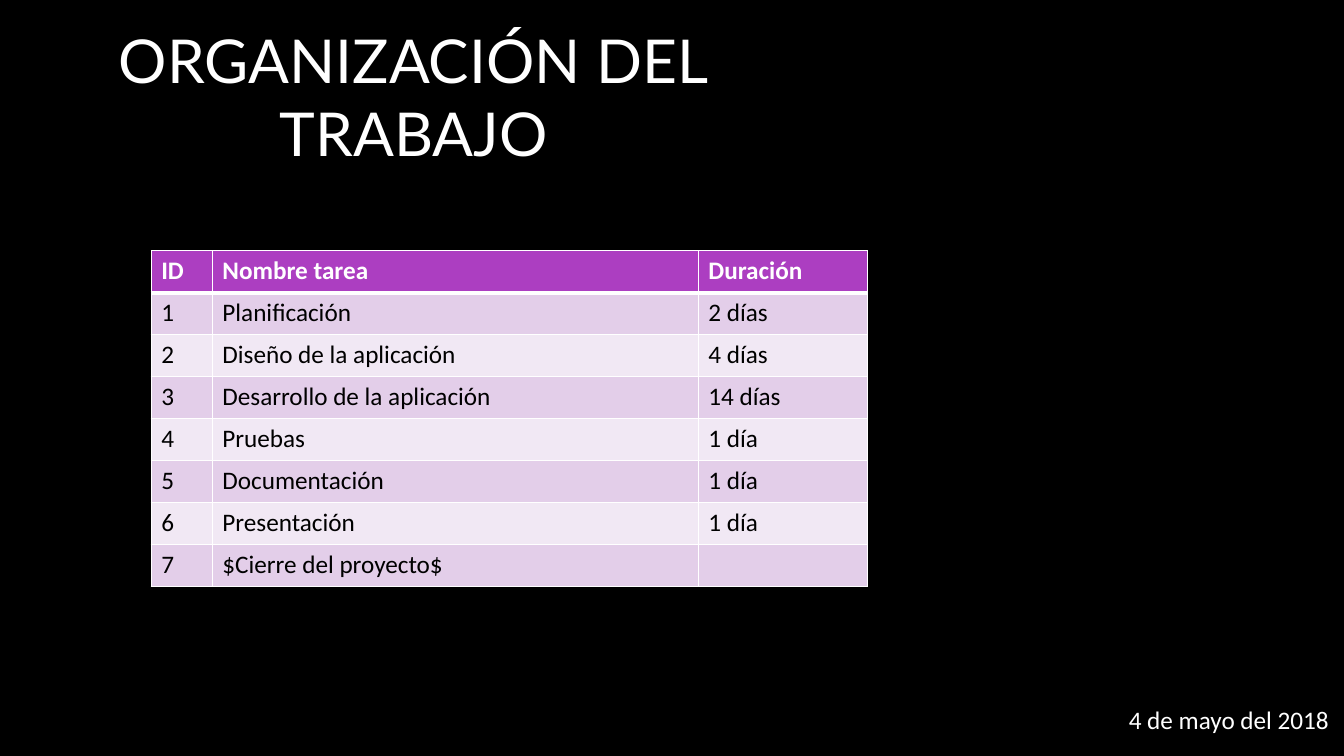
"""Build the work organisation slide with its task table."""
from lxml.etree import SubElement
from pptx import Presentation
from pptx.dml.color import RGBColor
from pptx.enum.text import MSO_ANCHOR, MSO_AUTO_SIZE, PP_ALIGN
from pptx.oxml.ns import qn
from pptx.util import Pt

TITLE = "ORGANIZACIÓN DEL\vTRABAJO"
DATE = "4 de mayo del 2018"
TASKS = [
    ("ID", "Nombre tarea", "Duración"),
    ("1", "Planificación", "2 días"),
    ("2", "Diseño de la aplicación", "4 días"),
    ("3", "Desarrollo de la aplicación", "14 días"),
    ("4", "Pruebas", "1 día"),
    ("5", "Documentación", "1 día"),
    ("6", "Presentación", "1 día"),
    ("7", "$Cierre del proyecto$", ""),
]
COLORS = {
    "black": "000000",
    "white": "FFFFFF",
    "header": "AC3EC1",
    "odd": "E3CEE9",
    "even": "F1E8F4",
}
TITLE_BOX = {"left": -81.4, "top": 41, "width": 753.8, "height": 82.8}
DATE_BOX = (799.2, 499.7, 159.1, 51.1)
TABLE_LEFT, TABLE_TOP = 108, 179.2
COL_WIDTHS = (43.7, 347.2, 121)
ROW_HEIGHT = 30
TITLE_FONT = {"name": "Lato", "size": Pt(43.2), "bold": False}
BODY_FONT = {"name": "Calibri", "size": Pt(18), "bold": False}
HEADER_FONT = {**BODY_FONT, "bold": True}


def rgb(name):
    return RGBColor.from_string(COLORS[name])


def format_font(font, values, color):
    for key, value in values.items():
        setattr(font, key, value)
    font.color.rgb = rgb(color)


def add_borders(cell, bottom, top):
    tcPr = cell._tc.get_or_add_tcPr()
    for side, width in (("lnL", 1), ("lnR", 1), ("lnT", top), ("lnB", bottom)):
        ln = SubElement(tcPr, qn(f"a:{side}"), w=str(Pt(width)))
        fill = SubElement(ln, qn("a:solidFill"))
        SubElement(fill, qn("a:srgbClr"), val=COLORS["white"])


def add_title(s):
    sp = s.shapes.title
    for key, value in TITLE_BOX.items():
        setattr(sp, key, Pt(value))
    tf = sp.text_frame
    tf.text = TITLE
    tf.auto_size = MSO_AUTO_SIZE.NONE
    tf.vertical_anchor = MSO_ANCHOR.BOTTOM
    p = tf.paragraphs[0]
    p.alignment = PP_ALIGN.CENTER
    for r in p.runs:
        format_font(r.font, TITLE_FONT, "white")


def add_date(s):
    tf = s.shapes.add_textbox(*map(Pt, DATE_BOX)).text_frame
    tf.word_wrap = False
    tf.auto_size = MSO_AUTO_SIZE.SHAPE_TO_FIT_TEXT
    r = tf.paragraphs[0].add_run()
    r.text = DATE
    format_font(r.font, BODY_FONT, "white")


def add_tasks(s):
    size = (sum(COL_WIDTHS), ROW_HEIGHT * len(TASKS))
    box = map(Pt, (TABLE_LEFT, TABLE_TOP, *size))
    table = s.shapes.add_table(len(TASKS), len(COL_WIDTHS), *box).table
    for column, width in zip(table.columns, COL_WIDTHS):
        column.width = Pt(width)
    for i, task in enumerate(TASKS):
        table.rows[i].height = Pt(ROW_HEIGHT)
        fill = "header" if i == 0 else "odd" if i % 2 else "even"
        font, color = (BODY_FONT, "black") if i else (HEADER_FONT, "white")
        for cell, text in zip(table.rows[i].cells, task):
            add_borders(cell, bottom=1 if i else 3, top=3 if i == 1 else 1)
            cell.fill.solid()
            cell.fill.fore_color.rgb = rgb(fill)
            if text:
                r = cell.text_frame.paragraphs[0].add_run()
                r.text = text
                format_font(r.font, font, color)


def main():
    prs = Presentation()
    prs.slide_width, prs.slide_height = Pt(960), Pt(540)
    s = prs.slides.add_slide(prs.slide_layouts[5])
    s.background.fill.solid()
    s.background.fill.fore_color.rgb = rgb("black")
    add_title(s)
    add_date(s)
    add_tasks(s)
    prs.save("out.pptx")


if __name__ == "__main__":
    main()
